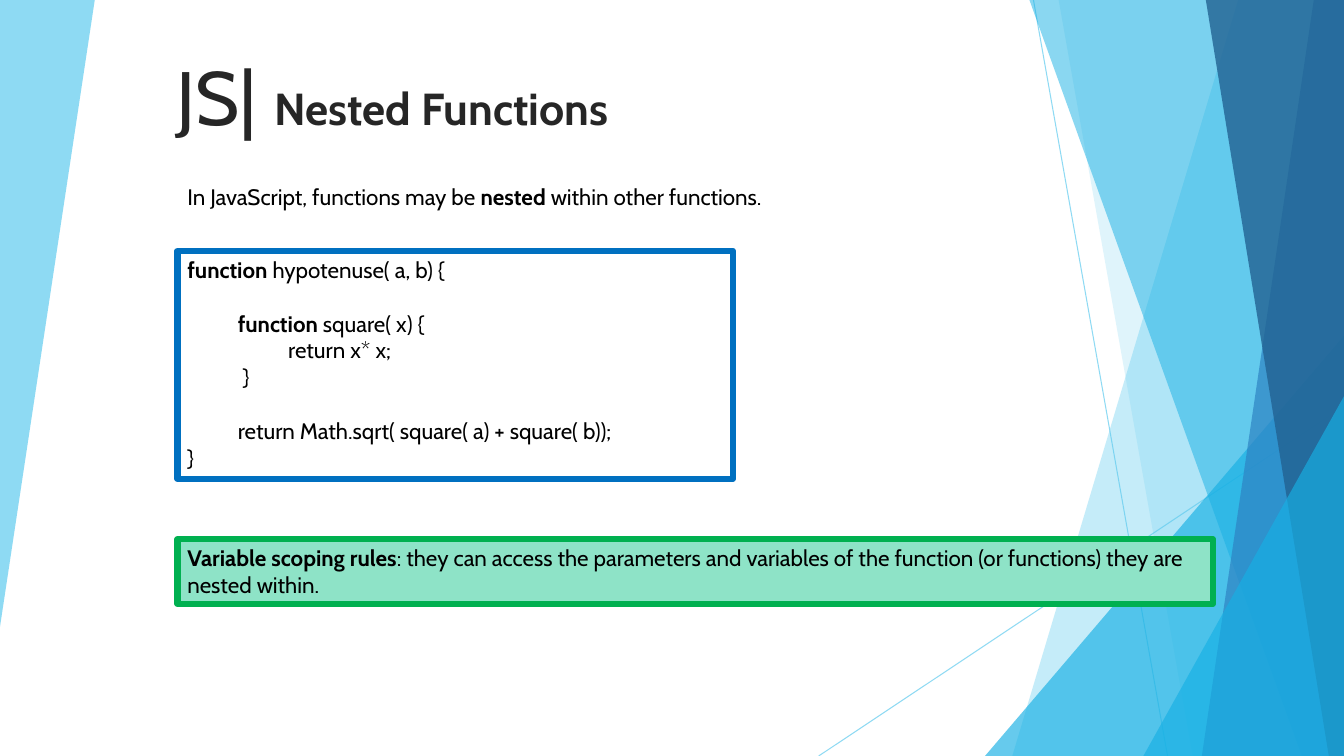
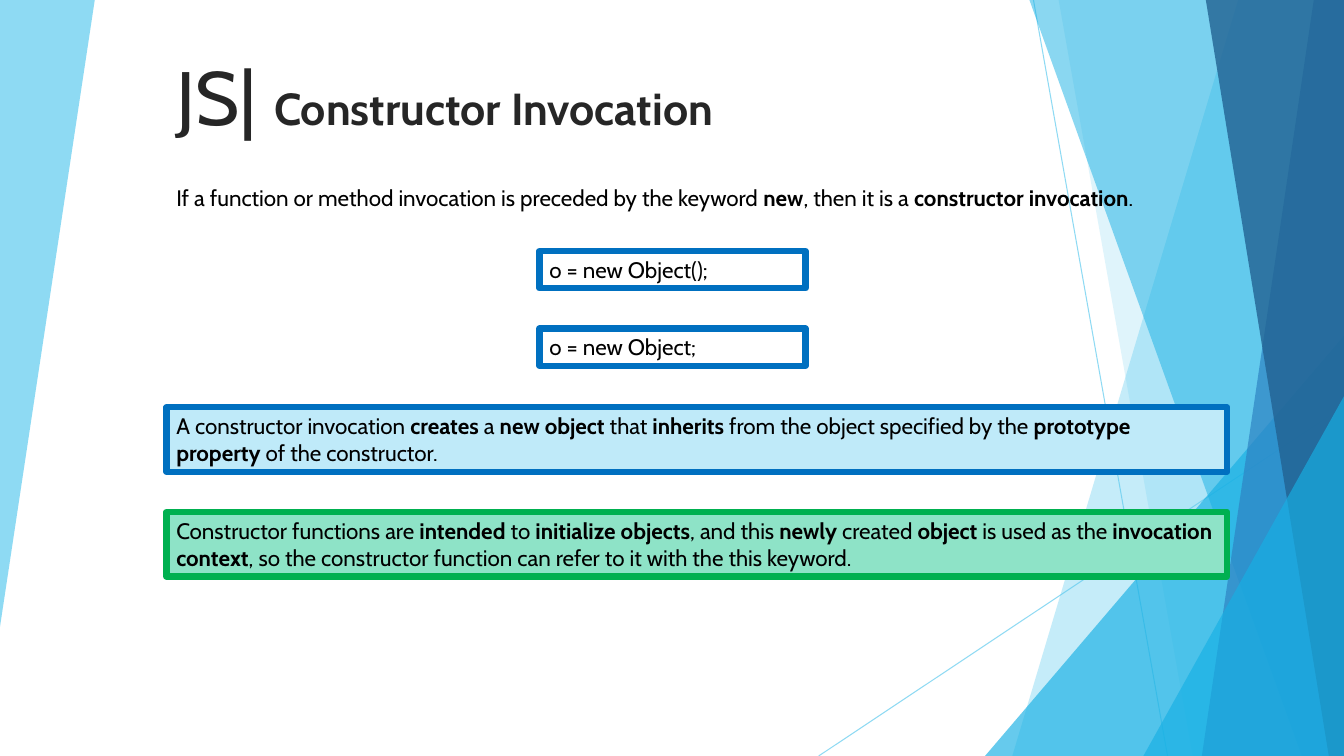
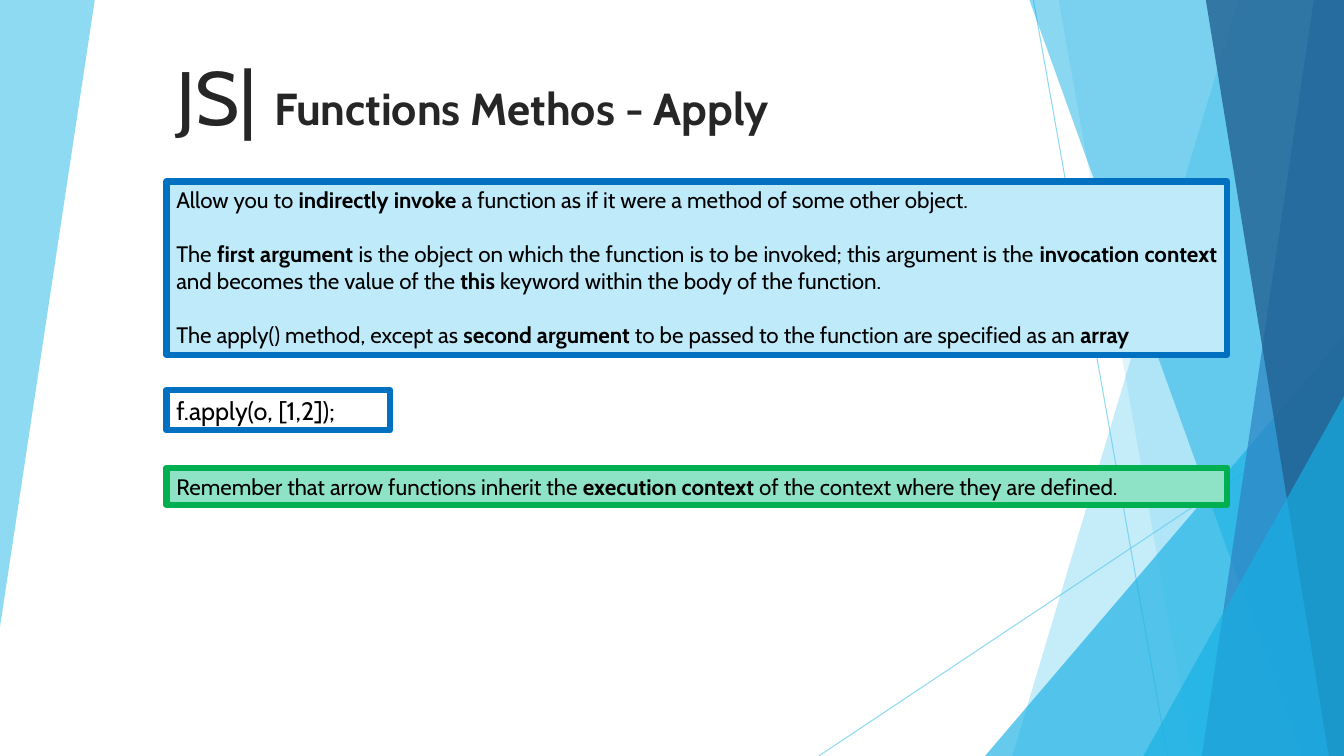
from lxml import etree
from pptx import Presentation
from pptx.dml.color import RGBColor
from pptx.enum.shapes import MSO_CONNECTOR, MSO_SHAPE
from pptx.enum.text import MSO_ANCHOR, MSO_AUTO_SIZE, PP_ALIGN
from pptx.oxml.ns import qn
from pptx.util import Inches, Pt

RECT, TRIANGLE = MSO_SHAPE.RECTANGLE, MSO_SHAPE.ISOSCELES_TRIANGLE
STRAIGHT = MSO_CONNECTOR.STRAIGHT
TOP, BOTTOM = MSO_ANCHOR.TOP, MSO_ANCHOR.BOTTOM
GROW, FIXED = MSO_AUTO_SIZE.SHAPE_TO_FIT_TEXT, MSO_AUTO_SIZE.NONE
LEFT, JUSTIFY = PP_ALIGN.LEFT, PP_ALIGN.JUSTIFY

W, H = 13.33, 7.5
FONT = "Cabin"
BLACK, TITLE = "000000", "262626"
SKY, CYAN, BLUE, NAVY = "5FCBEF", "17B0E4", "2E83C3", "226292"
CODE_LINE, NOTE_LINE = "0070C0", "00B050"
INFO_FILL, NOTE_FILL = "BFEAF9", "8EE3C7"
BLANK_LINE = 19.2
TITLE_BOX = (1.65, 0.38, 8.49, 1.06)
BODY = (1.65, 1.78, 10.52, 5)
NARROW_BODY = (1.76, 1.77, 10.27, 5)


def rgb(color):
    """Turn a hex string into a colour."""
    return RGBColor.from_string(color)


def fade(shape, opacity):
    """Give every colour of a shape the opacity in percent."""
    for clr in shape.element.iter(qn("a:srgbClr")):
        etree.SubElement(clr, qn("a:alpha")).set("val", str(opacity * 1000))


def paint(shape, color, opacity):
    """Fill a shape with a see-through colour and no outline."""
    shape.shadow.inherit = False
    shape.fill.solid()
    shape.fill.fore_color.rgb = rgb(color)
    shape.line.fill.background()
    fade(shape, opacity)


def facet(s, points, color, opacity):
    """Draw a filled polygon through the points."""
    start, *rest = [(Inches(x), Inches(y)) for x, y in points]
    builder = s.shapes.build_freeform(*start, scale=1.0)
    builder.add_line_segments(rest, close=True)
    paint(builder.convert_to_shape(), color, opacity)


def band(s, top, bottom, color, opacity):
    """Draw a full-height facet from two left corners to the right edge."""
    facet(s, [(top, 0), (W, 0), (W, H), (bottom, H)], color, opacity)


def corner(s, left, top):
    """Draw a right triangle in the lower right corner of the slide."""
    sp = s.shapes.add_shape(TRIANGLE, *map(Inches, (left, top, W - left, H - top)))
    sp.adjustments[0] = 1
    paint(sp, CYAN, 66)


def thin_line(s, *ends):
    """Draw a fine see-through line between two points."""
    line = s.shapes.add_connector(STRAIGHT, *map(Inches, ends))
    line.line.color.rgb = rgb(SKY)
    line.line.width = Pt(0.75)
    fade(line, 70)
    etree.SubElement(line.element.spPr, qn("a:effectLst"))


def backdrop(s):
    """Draw the facets that every slide shares."""
    facet(s, [(0, 0), (0.94, 0), (0, 6.22)], SKY, 70)
    thin_line(s, 10.25, 0, 11.58, H)
    thin_line(s, W, 4.03, 8.12, H)
    band(s, 12.28, 10.04, SKY, 36)
    band(s, 10.5, 11.83, SKY, 20)
    corner(s, 9.77, 3.33)
    band(s, 10.21, 12.91, CYAN, 50)
    band(s, 13.03, 11.92, BLUE, 70)
    band(s, 11.96, 13.18, NAVY, 80)
    corner(s, 11.34, 3.93)


def add_run(p, text, size=16, bold=False, color=BLACK):
    """Add one formatted run to a paragraph."""
    r = p.add_run()
    r.text = text
    r.font.name, r.font.size, r.font.bold = FONT, Pt(size), bold
    r.font.color.rgb = rgb(color)


def write(tf, *lines, size=16, align=LEFT, gap=0, anchor=TOP, auto_size=GROW):
    """Write lines with **bold** parts; a line may be (text, indent, gap)."""
    tf.word_wrap, tf.auto_size, tf.vertical_anchor = True, auto_size, anchor
    for i, line in enumerate(lines):
        text, indent, before = line if isinstance(line, tuple) else (line, 0, gap)
        p = tf.add_paragraph() if i else tf.paragraphs[0]
        p.alignment = align
        if i and before:
            p.space_before = Pt(before)
        if indent:
            p._p.get_or_add_pPr().set("marL", str(Inches(indent)))
        for j, part in enumerate(text.split("**")):
            if part:
                add_run(p, part, size, bold=j % 2 == 1)


def plain(s, box, *lines, **fmt):
    """Add text without a frame."""
    write(s.shapes.add_textbox(*map(Inches, box)).text_frame, *lines, **fmt)


def framed(s, box, *lines, fill=None, line=CODE_LINE, **fmt):
    """Add text in a frame with a thick outline."""
    sp = s.shapes.add_shape(RECT, *map(Inches, box))
    sp.shadow.inherit = False
    if fill:
        sp.fill.solid()
        sp.fill.fore_color.rgb = rgb(fill)
    else:
        sp.fill.background()
    sp.line.color.rgb = rgb(line)
    sp.line.width = Pt(4.5)
    write(sp.text_frame, *lines, **fmt)


def note(s, box, text):
    """Add a green frame with a rule to remember."""
    framed(s, box, text, fill=NOTE_FILL, line=NOTE_LINE)


def new_slide(prs, title):
    """Add a slide with the backdrop and the title."""
    s = prs.slides.add_slide(prs.slide_layouts[6])
    backdrop(s)
    tf = s.shapes.add_textbox(*map(Inches, TITLE_BOX)).text_frame
    write(tf, "", anchor=BOTTOM, auto_size=FIXED)
    add_run(tf.paragraphs[0], "JS| ", 54, color=TITLE)
    add_run(tf.paragraphs[0], title, 32, True, TITLE)
    return s


def nested_functions(s, box):
    """Place the introduction, the code and the scoping rule."""
    x, y, w, _ = box
    plain(s, (x, y, w, 0.37),
          "In JavaScript, functions may be **nested** within other functions.")
    framed(s, (x, y + 0.72, 5.51, 2.26),
           "**function** hypotenuse( a, b) {",
           ("**function** square( x) {", 0.5, BLANK_LINE),
           ("return x* x;", 1, 0),
           (" }", 0.5, 0),
           ("return Math.sqrt( square( a) + square( b));", 0.5, BLANK_LINE),
           "}")
    note(s, (x, y + 3.58, w, 0.64),
         "**Variable scoping rules**: they can access the parameters and variables "
         "of the function (or functions) they are nested within.")


def constructor_invocation(s, box):
    """Place the definition, two code samples and two explanations."""
    x, y, w, _ = box
    plain(s, (x, y, w, 0.37),
          "If a function or method invocation is preceded by the keyword **new**, "
          "then it is a **constructor invocation**.")
    for i, code in enumerate(("o = new Object();", "o = new Object;")):
        framed(s, (x + 3.7, y + 0.71 + i * 0.77, 2.64, 0.37), code)
    framed(s, (x, y + 2.26, w, 0.64),
           "A constructor invocation **creates** a **new object** that **inherits** "
           "from the object specified by the **prototype property** of the constructor.",
           fill=INFO_FILL)
    note(s, (x, y + 3.3, w, 0.64),
         "Constructor functions are **intended** to **initialize objects**, and this "
         "**newly** created **object** is used as the **invocation context**, so the "
         "constructor function can refer to it with the this keyword.")


def apply_method(s, box):
    """Place the explanation, the call and the reminder."""
    x, y, w, _ = box
    framed(s, (x, y + 0.02, w, 1.72),
           "Allow you to **indirectly invoke** a function as if it were a method of "
           "some other object.",
           "The **first argument** is the object on which the function is to be invoked; "
           "this argument is the **invocation context** and becomes the value of the "
           "**this** keyword within the body of the function.",
           "The apply() method, except as **second argument** to be passed to the "
           "function are specified as an **array**",
           fill=INFO_FILL, align=JUSTIFY, gap=BLANK_LINE)
    framed(s, (x, y + 2.09, 2.22, 0.4), "f.apply(o, [1,2]);", size=18)
    note(s, (x, y + 2.86, w, 0.37),
         "Remember that arrow functions inherit the **execution context** of the "
         "context where they are defined.")


def main():
    """Build and save the presentation."""
    prs = Presentation()
    prs.slide_width, prs.slide_height = Inches(W), Inches(H)
    nested_functions(new_slide(prs, "Nested Functions"), NARROW_BODY)
    constructor_invocation(new_slide(prs, "Constructor Invocation"), BODY)
    apply_method(new_slide(prs, "Functions Methos - Apply"), BODY)
    prs.save("out.pptx")


if __name__ == "__main__":
    main()
